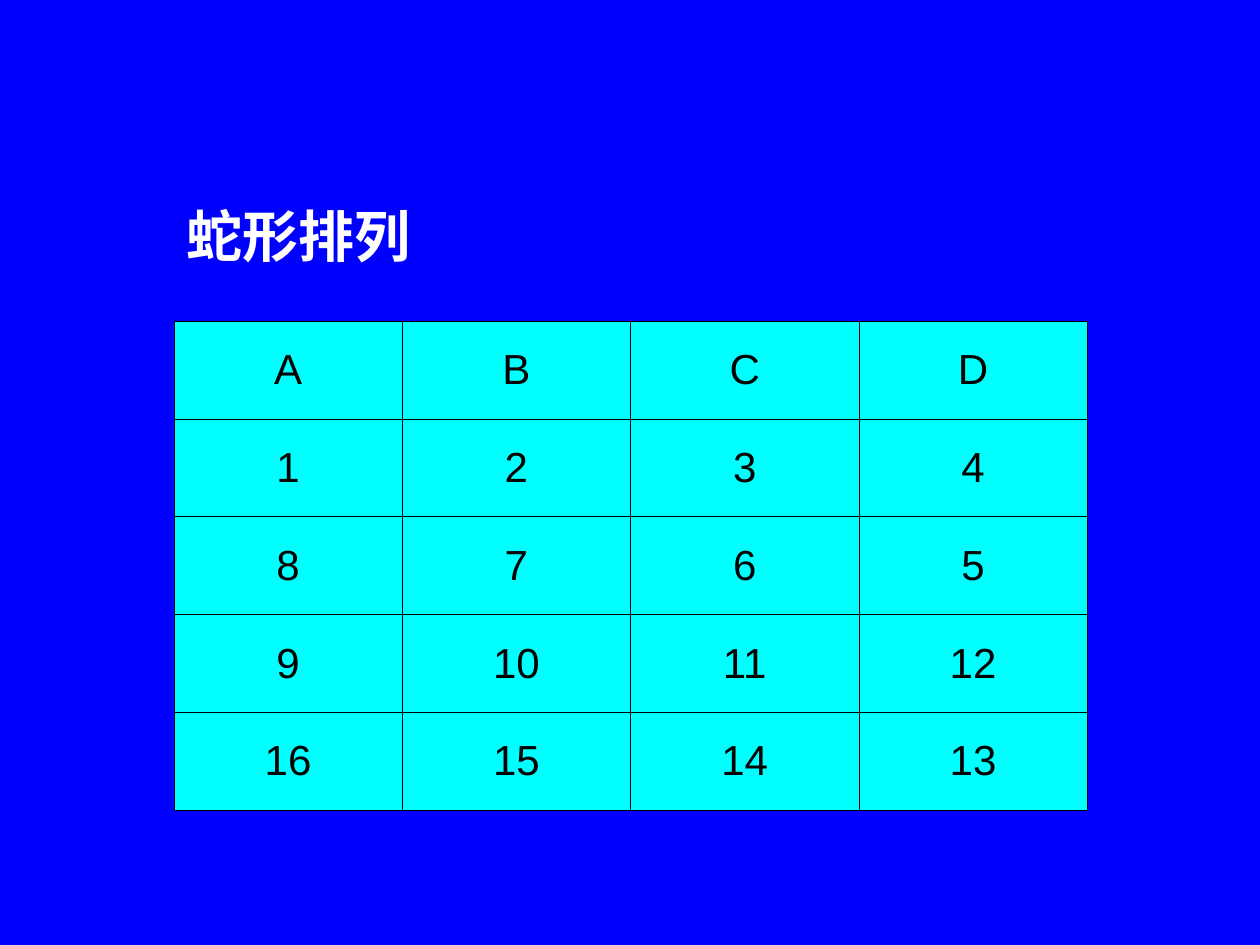
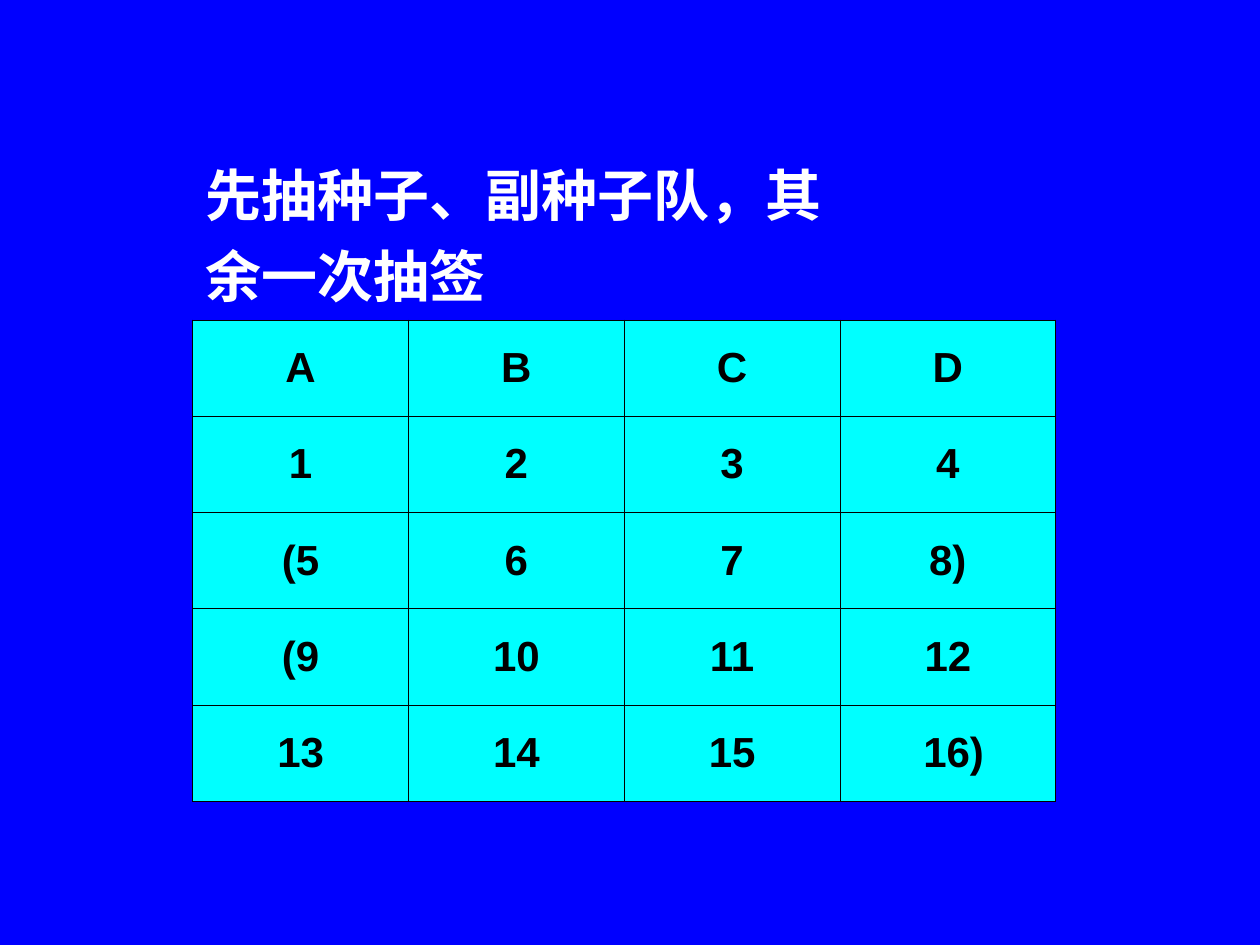
from lxml import etree
from pptx import Presentation
from pptx.dml.color import RGBColor
from pptx.enum import text
from pptx.oxml import ns
from pptx.util import Inches, Pt

BLUE = RGBColor(0x00, 0x00, 0xFF)
CYAN = RGBColor(0x00, 0xFF, 0xFF)
WHITE = RGBColor(0xFF, 0xFF, 0xFF)
BLACK = RGBColor(0x00, 0x00, 0x00)
FONT = "Arial"
PLAIN_TABLE_STYLE = "{2D5ABB26-0587-4C30-8999-92F81FD0307C}"
GROUPS = ["A", "B", "C", "D"]
TABLE_TOP = 1.15


def write_cell(cell, words, size, color, bold, alignment):
    cell.vertical_anchor = text.MSO_ANCHOR.MIDDLE
    cell.text_frame.text = words
    paragraph = cell.text_frame.paragraphs[0]
    paragraph.alignment = alignment
    font = paragraph.runs[0].font
    font.name, font.size, font.bold = FONT, Pt(size), bold
    font.color.rgb = color


def add_borders(cell, sides):
    # Border lines must come before the fill in the cell properties
    properties = cell._tc.get_or_add_tcPr()
    for position, side in enumerate(sides):
        line = etree.Element(ns.qn("a:ln" + side), w=str(Pt(0.45)))
        fill = etree.SubElement(line, ns.qn("a:solidFill"))
        etree.SubElement(fill, ns.qn("a:srgbClr"), val=str(BLACK))
        properties.insert(position, line)


# Draw orders: snake order turns back on every second row
snake_rows = [[str(n) for n in range(start, start + 4)] for start in (1, 5, 9, 13)]
for row in snake_rows[1::2]:
    row.reverse()

seed_rows = [
    ["1", "2", "3", "4"],
    ["(5", "6", "7", "8)"],
    ["(9", "10", "11", "12"],
    ["13", "14", "15", " 16)"],
]

draws = [
    dict(title="蛇形排列", title_columns=2, rows=snake_rows, bold=False,
         left=1.38, width=7.25, height=5.28, title_height=1.4),
    dict(title="先抽种子、副种子队，其余一次抽签", title_columns=3, rows=seed_rows, bold=True,
         left=1.53, width=6.85, height=5.2, title_height=1.38),
]

presentation = Presentation()
presentation.slide_width = Inches(10)
presentation.slide_height = Inches(7.5)

for draw in draws:
    slide = presentation.slides.add_slide(presentation.slide_layouts[6])
    slide.background.fill.solid()
    slide.background.fill.fore_color.rgb = BLUE

    # Table grid
    body = [GROUPS] + draw["rows"]
    shape = slide.shapes.add_table(
        len(body) + 1, len(GROUPS), Inches(draw["left"]), Inches(TABLE_TOP),
        Inches(draw["width"]), Inches(draw["height"]))
    table = shape.table
    table._tbl.tblPr.find(ns.qn("a:tableStyleId")).text = PLAIN_TABLE_STYLE
    table.horz_banding = False
    body_height = (draw["height"] - draw["title_height"]) / len(body)
    for index, row in enumerate(table.rows):
        row.height = Inches(body_height if index else draw["title_height"])

    # Title row
    for column in range(len(GROUPS)):
        add_borders(table.cell(0, column), "B")
    title_cell = table.cell(0, 0)
    title_cell.merge(table.cell(0, draw["title_columns"] - 1))
    write_cell(title_cell, draw["title"], 32, WHITE, True, text.PP_ALIGN.LEFT)

    # Groups and their numbers
    for row_index, row in enumerate(body, start=1):
        for column, words in enumerate(row):
            cell = table.cell(row_index, column)
            write_cell(cell, words, 24, BLACK, draw["bold"], text.PP_ALIGN.CENTER)
            cell.fill.solid()
            cell.fill.fore_color.rgb = CYAN
            add_borders(cell, "LRTB")

presentation.save("out.pptx")
